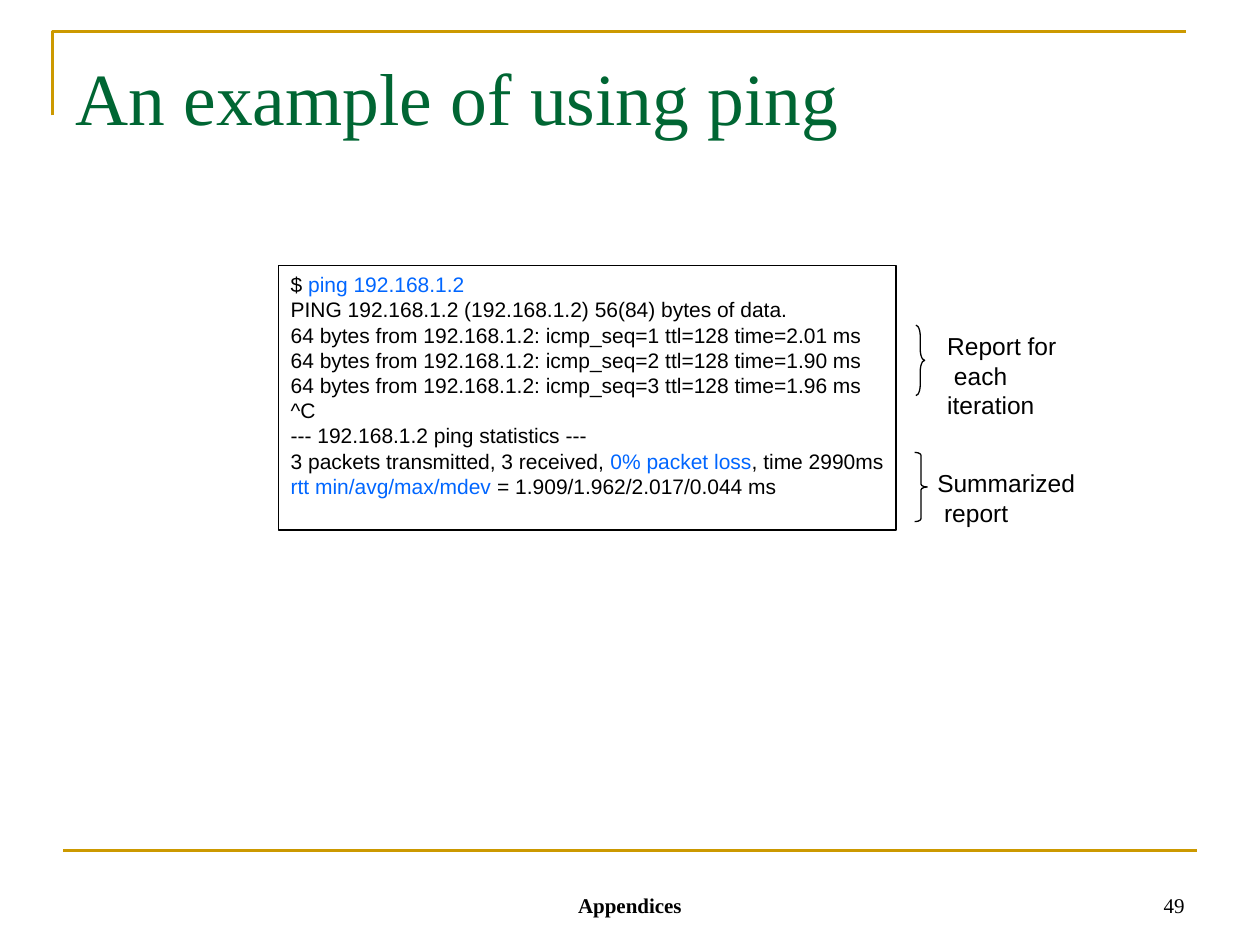
from dataclasses import dataclass
from lxml.etree import SubElement
from pptx import Presentation
from pptx.dml.color import RGBColor
from pptx.enum.shapes import MSO_CONNECTOR, MSO_SHAPE
from pptx.enum.text import MSO_ANCHOR, PP_ALIGN
from pptx.oxml.ns import qn
from pptx.util import Pt


@dataclass(frozen=True)
class Theme:
    gold: RGBColor = RGBColor(0xCC, 0x99, 0x00)
    green: RGBColor = RGBColor(0x00, 0x66, 0x33)
    blue: RGBColor = RGBColor(0x00, 0x66, 0xFF)
    black: RGBColor = RGBColor(0, 0, 0)
    serif: str = "Times New Roman"
    sans: str = "Arial"
    title_size: int = 42
    label_size: int = 14
    body_size: int = 12
    rule_width: float = 1.5
    outline_width: float = 0.75


theme = Theme()


def write_lines(shape, lines, font_name, size, color=theme.black, bold=False,
                align=PP_ALIGN.LEFT, anchor=MSO_ANCHOR.TOP, wrap=True):
    frame = shape.text_frame
    frame.word_wrap = wrap
    frame.vertical_anchor = anchor
    for index, line in enumerate(lines):
        paragraph = frame.paragraphs[0] if index == 0 else frame.add_paragraph()
        paragraph.alignment = align
        paragraph.font.name = font_name
        paragraph.font.size = Pt(size)
        paragraph.font.bold = bold
        colors = {run_color for _, run_color in line}
        if len(colors) == 1:
            paragraph.font.color.rgb = colors.pop() or color
        for text, run_color in line:
            run = paragraph.add_run()
            run.text = text
            if len(line) > 1:
                run.font.color.rgb = run_color or color


presentation = Presentation()
presentation.slide_width = Pt(720)
presentation.slide_height = Pt(540)
slide = presentation.slides.add_slide(presentation.slide_layouts[6])
shapes = slide.shapes

builder = shapes.build_freeform(Pt(30), Pt(66), scale=1.0)
builder.add_line_segments([(Pt(30), Pt(18)), (Pt(678), Pt(18))], close=False)
title_rule = builder.convert_to_shape()
title_rule.shadow.inherit = False
title_rule.fill.background()

footer_rule = shapes.add_connector(MSO_CONNECTOR.STRAIGHT, Pt(36), Pt(486), Pt(684), Pt(486))
SubElement(footer_rule._element.spPr, qn("a:effectLst"))

for rule in (title_rule, footer_rule):
    rule.line.color.rgb = theme.gold
    rule.line.width = Pt(theme.rule_width)

title = shapes.add_textbox(Pt(36), Pt(21.6), Pt(648), Pt(90))
title.text_frame.margin_top = Pt(8)
write_lines(title, [[("An example of using ping", None)]], theme.serif, theme.title_size, theme.green)

for text, left, width, align, bold in (
    ("Appendices", 246, 228, PP_ALIGN.CENTER, True),
    ("49", 516, 168, PP_ALIGN.RIGHT, False),
):
    footer = shapes.add_textbox(Pt(left), Pt(492), Pt(width), Pt(36))
    write_lines(footer, [[(text, None)]], theme.serif, theme.body_size,
                bold=bold, align=align, anchor=MSO_ANCHOR.BOTTOM)

for lines, label_box, brace_box, curl in (
    (("Summarized", " report"), (528.5, 264.2, 93, 41), (522.7, 258.5, 7.2, 39.6), 0.23),
    (("Report for", " each iteration"), (534.2, 185.8, 102, 41), (523.4, 185.8, 5, 40.3), 1.28),
):
    label = shapes.add_textbox(*map(Pt, label_box))
    write_lines(label, [[(line, None)] for line in lines], theme.sans, theme.label_size, wrap=False)
    brace = shapes.add_shape(MSO_SHAPE.RIGHT_BRACE, *map(Pt, brace_box))
    brace.shadow.inherit = False
    brace.adjustments[0] = curl
    brace.fill.background()
    brace.line.color.rgb = theme.black
    brace.line.width = Pt(theme.outline_width)

replies = [
    [(f"64 bytes from 192.168.1.2: icmp_seq={sequence} ttl=128 time={time} ms", None)]
    for sequence, time in enumerate(("2.01", "1.90", "1.96"), start=1)
]
session = [
    [("$ ", None), ("ping 192.168.1.2", theme.blue)],
    [("PING 192.168.1.2 (192.168.1.2) 56(84) bytes of data.", None)],
    *replies,
    [("^C", None)],
    [("--- 192.168.1.2 ping statistics ---", None)],
    [("3 packets transmitted, 3 received, ", None), ("0% packet loss", theme.blue), (", time 2990ms", None)],
    [("rtt min/avg/max/mdev ", theme.blue), ("= 1.909/1.962/2.017/0.044 ms", None)],
]
terminal = shapes.add_shape(MSO_SHAPE.RECTANGLE, Pt(159), Pt(151.8), Pt(353), Pt(151.2))
terminal.shadow.inherit = False
terminal.fill.background()
terminal.line.color.rgb = theme.black
terminal.line.width = Pt(theme.outline_width)
write_lines(terminal, session, theme.sans, theme.body_size, wrap=False)

presentation.save("out.pptx")
